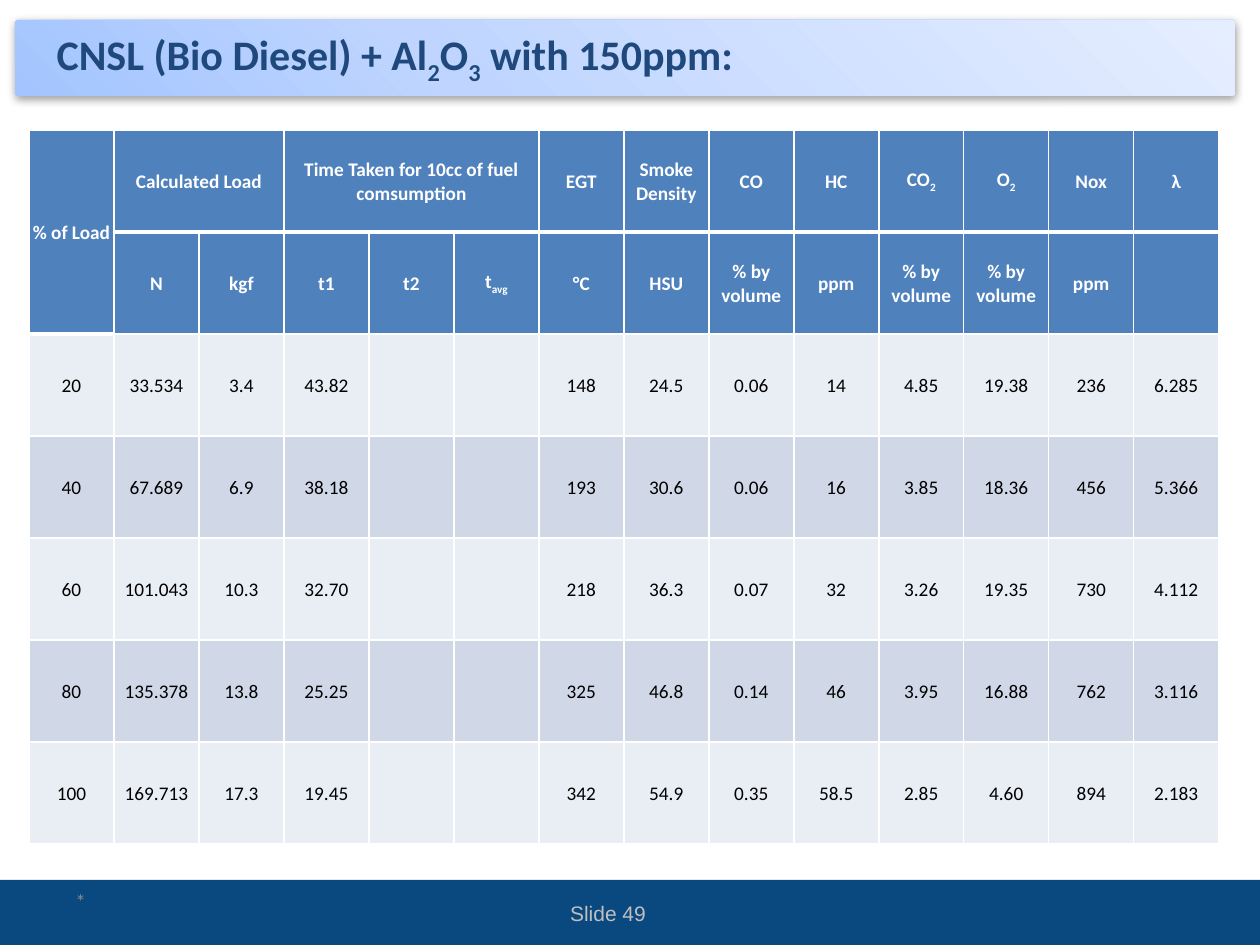
"""Build the CNSL biodiesel test results slide."""
from lxml import etree
from pptx import Presentation
from pptx.dml.color import RGBColor
from pptx.enum.shapes import MSO_SHAPE
from pptx.enum.text import MSO_ANCHOR, PP_ALIGN
from pptx.oxml import parse_xml
from pptx.oxml.ns import nsdecls, qn
from pptx.util import Emu, Pt

RECT, ROUNDED = MSO_SHAPE.RECTANGLE, MSO_SHAPE.ROUNDED_RECTANGLE
MIDDLE, LEFT, CENTER = MSO_ANCHOR.MIDDLE, PP_ALIGN.LEFT, PP_ALIGN.CENTER
SCALE = 914400 / 126

COLORS = {
    "footer": "0A4880", "title": "1F497D", "number": "BFBFBF", "date": "898989",
    "header": "4F81BD", "band_light": "E9EDF4", "band_dark": "D0D8E8",
    "white": "FFFFFF", "black": "000000",
}
BANNER_STOPS = [(0, "A3C4FF"), (35, "BFD5FF"), (100, "E5EEFF")]

SUB = "~"
TITLE = "CNSL (Bio Diesel) + Al~2~O~3~ with 150ppm:"
HEADERS = [
    ["% of Load", "Calculated Load", "", "Time Taken for 10cc of fuel comsumption", "", "",
     "EGT", "Smoke Density", "CO", "HC", "CO~2", "O~2", "Nox", "λ"],
    ["", "N", "kgf", "t1", "t2", "t~avg", "°C", "HSU", "% by volume", "ppm",
     "% by volume", "% by volume", "ppm", ""],
]
READINGS = [
    ["20", "33.534", "3.4", "43.82", "", "", "148", "24.5", "0.06", "14", "4.85", "19.38", "236", "6.285"],
    ["40", "67.689", "6.9", "38.18", "", "", "193", "30.6", "0.06", "16", "3.85", "18.36", "456", "5.366"],
    ["60", "101.043", "10.3", "32.70", "", "", "218", "36.3", "0.07", "32", "3.26", "19.35", "730", "4.112"],
    ["80", "135.378", "13.8", "25.25", "", "", "325", "46.8", "0.14", "46", "3.95", "16.88", "762", "3.116"],
    ["100", "169.713", "17.3", "19.45", "", "", "342", "54.9", "0.35", "58.5", "2.85", "4.60", "894", "2.183"],
]
MERGES = [((0, 0), (1, 0)), ((0, 1), (0, 2)), ((0, 3), (0, 5))]
TABLE_LEFT, TABLE_TOP, COLUMN_WIDTH, ROW_HEIGHT = 29, 130, 85, 102
FOOTER_TEXTS = [
    ("Slide 49", (461, 888, 294, 50), CENTER, "Arial", "number"),
    ("*", (63, 876, 294, 50), LEFT, "Calibri", "date"),
]


def px(value):
    return Emu(round(value * SCALE))


def box(*lengths):
    return [px(length) for length in lengths]


def write(frame, text, align, size, color, bold=False, font="Calibri"):
    paragraph = frame.paragraphs[0]
    paragraph.alignment = align
    formats = {"size": Pt(size), "name": font, "bold": bold}
    for index, part in enumerate(text.split(SUB)):
        run = paragraph.add_run()
        run.text = part
        for name, value in formats.items():
            setattr(run.font, name, value)
        run.font.color.rgb = RGBColor.from_string(COLORS[color])
        if index % 2:
            run._r.get_or_add_rPr().set("baseline", "-25000")


def add_bar(slide, kind, area):
    bar = slide.shapes.add_shape(kind, *box(*area))
    bar.shadow.inherit = False
    bar.line.fill.background()
    return bar


def add_banner(slide):
    banner = add_bar(slide, ROUNDED, (15, 20, 1220, 76))
    banner.adjustments[0] = 0.04
    stops = "".join(
        f'<a:gs pos="{place * 1000}"><a:srgbClr val="{color}"/></a:gs>'
        for place, color in BANNER_STOPS)
    properties = banner._element.spPr
    properties.find(qn("a:prstGeom")).addnext(parse_xml(
        f'<a:gradFill {nsdecls("a")} rotWithShape="1"><a:gsLst>{stops}</a:gsLst>'
        '<a:lin ang="18900000" scaled="0"/></a:gradFill>'))
    properties.find(qn("a:effectLst")).append(parse_xml(
        f'<a:outerShdw {nsdecls("a")} blurRad="{Pt(5)}" dist="{Pt(1.6)}" dir="5400000" '
        f'rotWithShape="0"><a:srgbClr val="{COLORS["black"]}">'
        '<a:alpha val="38000"/></a:srgbClr></a:outerShdw>'))


def add_title(slide):
    title = slide.shapes.title
    title.left, title.top, title.width, title.height = box(44, 26, 1031, 63)
    title.text_frame.vertical_anchor = MIDDLE
    title.text_frame.word_wrap = True
    write(title.text_frame, TITLE, LEFT, 24, "title", bold=True)
    slide.shapes._spTree.append(title._element)


def set_borders(cell, widths):
    properties = cell._tc.get_or_add_tcPr()
    for side, width in widths.items():
        line = etree.SubElement(properties, qn(f"a:ln{side}"), w=str(Pt(width)))
        fill = etree.SubElement(line, qn("a:solidFill"))
        etree.SubElement(fill, qn("a:srgbClr"), val=COLORS["white"])


def rule_width(boundary, column):
    return 3 if boundary == 1 or (boundary == 2 and column == 0) else 1


def add_results(slide):
    rows = HEADERS + READINGS
    count = len(rows[0])
    area = box(TABLE_LEFT, TABLE_TOP, COLUMN_WIDTH * count, ROW_HEIGHT * len(rows))
    table = slide.shapes.add_table(len(rows), count, *area).table
    for column in table.columns:
        column.width = px(COLUMN_WIDTH)
    margins = {"margin_left": px(1), "margin_right": px(1), "margin_top": px(1),
               "margin_bottom": 0, "vertical_anchor": MIDDLE}
    for r, values in enumerate(rows):
        table.rows[r].height = px(ROW_HEIGHT)
        is_header = r < len(HEADERS)
        fill = "header" if is_header else ("band_light", "band_dark")[r % 2]
        for c, text in enumerate(values):
            cell = table.cell(r, c)
            for name, value in margins.items():
                setattr(cell, name, value)
            set_borders(cell, {"L": 1, "R": 1, "T": rule_width(r, c), "B": rule_width(r + 1, c)})
            cell.fill.solid()
            cell.fill.fore_color.rgb = RGBColor.from_string(COLORS[fill])
            if text:
                write(cell.text_frame, text, CENTER, 11, "white" if is_header else "black", is_header)
    for first, last in MERGES:
        table.cell(*first).merge(table.cell(*last))


def add_footer_texts(slide):
    for text, area, align, font, color in FOOTER_TEXTS:
        frame = slide.shapes.add_textbox(*box(*area)).text_frame
        frame.word_wrap = True
        frame.vertical_anchor = MIDDLE
        write(frame, text, align, 12, color, font=font)


def main():
    deck = Presentation()
    deck.slide_width, deck.slide_height = box(1260, 945)
    slide = deck.slides.add_slide(deck.slide_layouts[5])
    footer = add_bar(slide, RECT, (0, 880, 1260, 65))
    footer.fill.solid()
    footer.fill.fore_color.rgb = RGBColor.from_string(COLORS["footer"])
    add_banner(slide)
    add_title(slide)
    add_footer_texts(slide)
    add_results(slide)
    deck.save("out.pptx")


if __name__ == "__main__":
    main()
